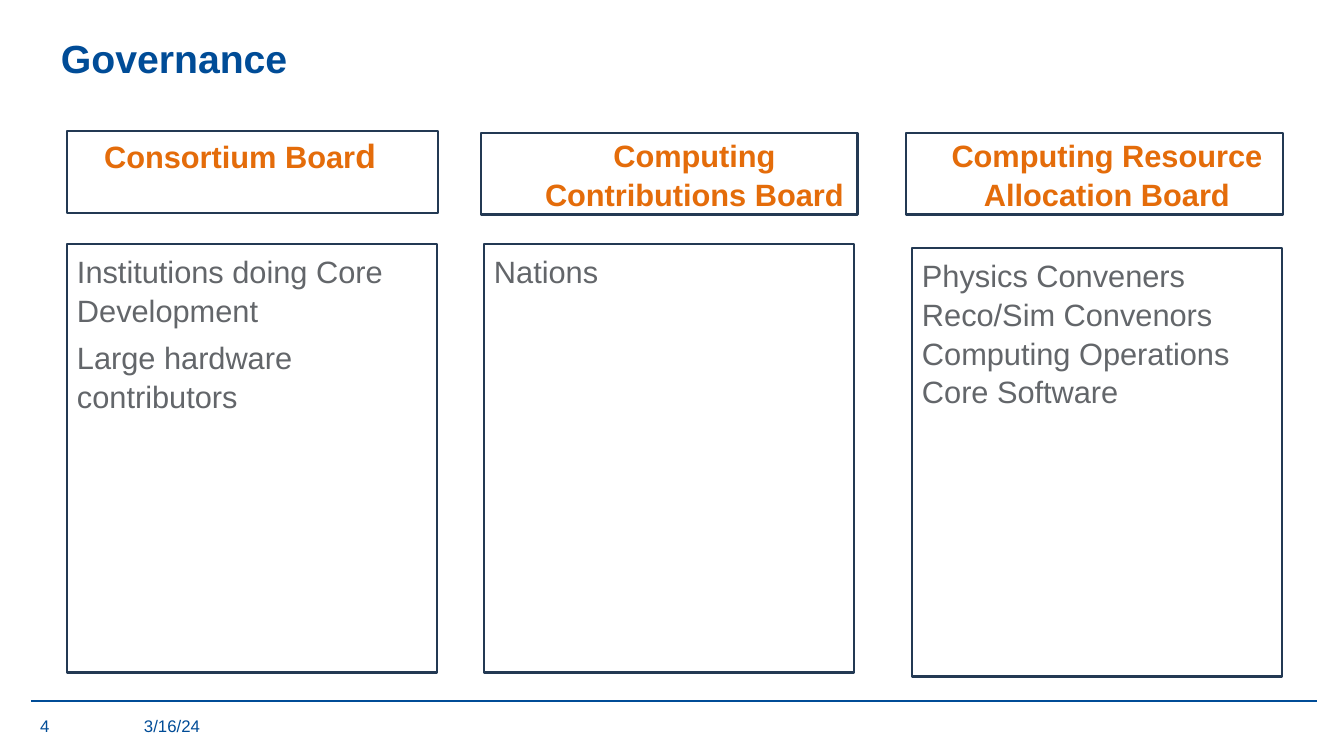
import pptx
import pptx.util
import pptx.dml.color
import pptx.enum.shapes
import pptx.enum.text
import pptx.oxml.ns
import lxml.etree

PX = 12700 * 72 / 100.8
FONT = "Arial"
COLORS = {
    "blue": "004C97",
    "navy": "233953",
    "orange": "E46C0A",
    "gray": "63666A",
}
ALIGN = pptx.enum.text.PP_ALIGN
ANCHOR = pptx.enum.text.MSO_ANCHOR


def px(length):
    return pptx.util.Emu(round(length * PX))


def color(name):
    return pptx.dml.color.RGBColor.from_string(COLORS[name])


def write(shape, paragraphs, size, ink, bold=False, align=ALIGN.LEFT,
          anchor=ANCHOR.TOP, inset=(0, 0, 0, 0), spacing=1.0, gap=0):
    """Fill a shape with paragraphs, each a list of (text, size or None) runs."""
    frame = shape.text_frame
    frame.word_wrap = True
    frame.auto_size = pptx.enum.text.MSO_AUTO_SIZE.NONE
    frame.vertical_anchor = anchor
    (frame.margin_left, frame.margin_top,
     frame.margin_right, frame.margin_bottom) = map(px, inset)
    for index, runs in enumerate(paragraphs):
        paragraph = frame.add_paragraph() if index else frame.paragraphs[0]
        paragraph.alignment = align
        paragraph.line_spacing = spacing
        paragraph.space_before = pptx.util.Pt(gap if index else 0)
        for text, run_size in runs:
            run = paragraph.add_run()
            run.text = text
            run.font.name = FONT
            run.font.size = pptx.util.Pt(run_size or size)
            run.font.bold = bold
            run.font.color.rgb = color(ink)


def outlined_box(slide, box):
    frame = slide.shapes.add_shape(
        pptx.enum.shapes.MSO_SHAPE.RECTANGLE, *map(px, box))
    frame.shadow.inherit = False
    frame.fill.background()
    frame.line.color.rgb = color("navy")
    frame.line.width = pptx.util.Pt(2)
    return frame


def add_title(slide, box, text):
    title = slide.shapes.title
    title.left, title.top, title.width, title.height = map(px, box)
    write(title, [[(text, None)]], 28, "blue", bold=True, inset=(0, 3, 0, 0))


def add_board(slide, heading_box, members_box, heading, members, indents, gap):
    # Heading, with its text offset by the left and right indents
    left, right = indents
    write(outlined_box(slide, heading_box), [heading], 22, "orange", bold=True,
          align=ALIGN.CENTER, inset=(left, 2, right, 0), spacing=1.05)
    # Members
    write(outlined_box(slide, members_box), [[(name, None)] for name in members],
          22, "gray", inset=(10, 7, 0, 5), spacing=1.05, gap=gap)


def add_footer(slide, box, number, date):
    left, top, width, height = box
    # Rule
    rule = slide.shapes.add_connector(
        pptx.enum.shapes.MSO_CONNECTOR.STRAIGHT,
        px(left), px(top), px(left + width), px(top))
    rule.line.color.rgb = color("blue")
    rule.line.width = pptx.util.Pt(2)
    lxml.etree.SubElement(rule._element.spPr, pptx.oxml.ns.qn("a:effectLst"))
    # Page number and date
    for text, offset, label_width in ((number, 9, 78), (date, 113, 167)):
        label = slide.shapes.add_textbox(
            px(left + offset), px(top + height - 20), px(label_width), px(20))
        write(label, [[(text, None)]], 12, "blue", anchor=ANCHOR.BOTTOM)


def main():
    deck = pptx.Presentation()
    deck.slide_width, deck.slide_height = px(1344), px(756)
    slide = deck.slides.add_slide(deck.slide_layouts.get_by_name("Title Only"))

    add_title(slide, (61, 31, 1221, 64), "Governance")
    boards = [
        ((67, 131, 371, 82), (67, 244, 370, 429),
         [("Consortium Boar", None), ("d", 24)],
         ["Institutions doing Core Development", "Large hardware contributors"],
         (0, 25), 6),
        ((481, 133, 377, 82), (484, 244, 370, 429),
         [("Computing Contributions Board", None)],
         ["Nations"],
         (50, 0), 0),
        ((906, 133, 377, 82), (912, 248, 370, 429),
         [("Computing Resource Allocation Board", None)],
         ["Physics Conveners", "Reco/Sim Convenors",
          "Computing Operations", "Core Software"],
         (25, 0), 0),
    ]
    for board in boards:
        add_board(slide, *board)
    add_footer(slide, (31, 701, 1286, 35), "4", "3/16/24")

    deck.save("out.pptx")


if __name__ == "__main__":
    main()
